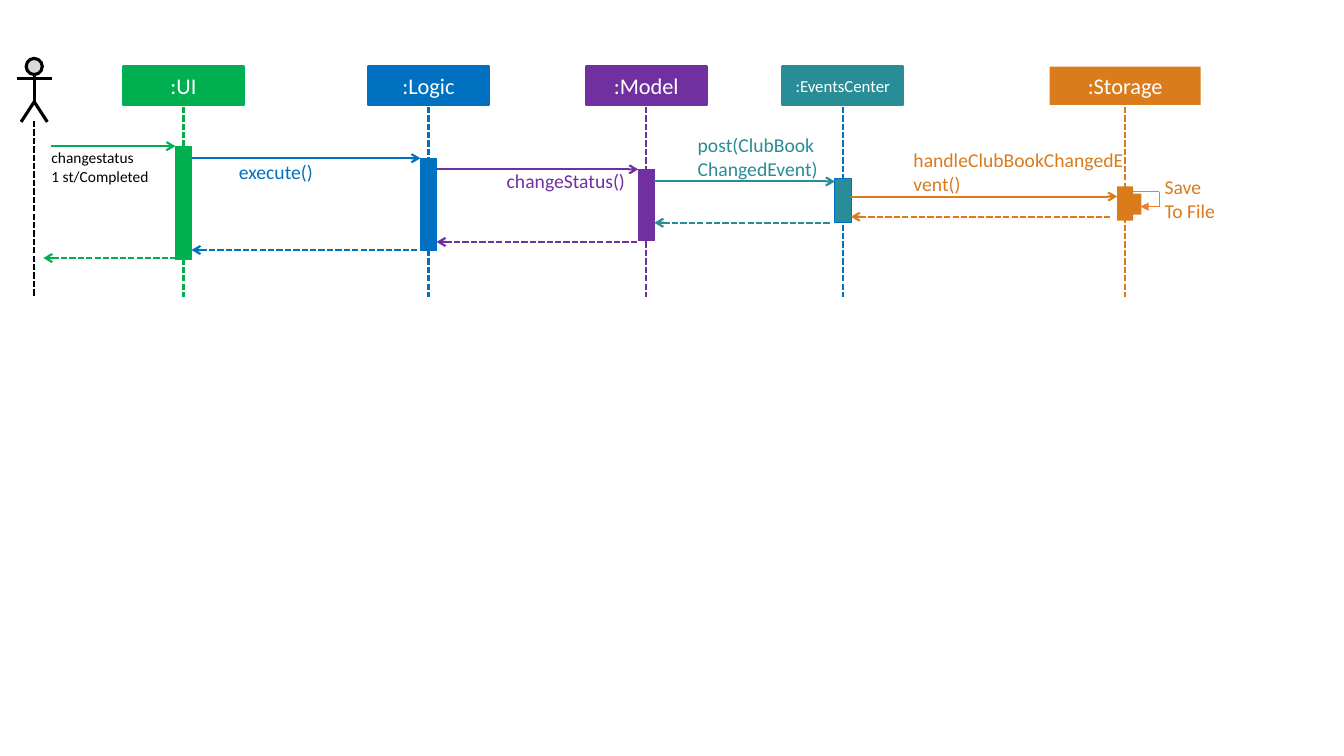
from dataclasses import dataclass
from typing import Any, Optional

from lxml import etree
from pptx import Presentation, util as u
from pptx.dml.color import RGBColor
from pptx.enum import dml, shapes, text
from pptx.oxml import ns


@dataclass(frozen=True)
class Theme:
    font: str = "Calibri"
    ui: str = "00B050"
    logic: str = "0070C0"
    model: str = "7030A0"
    events: str = "298D97"
    storage: str = "DA7B1C"
    self_call: str = "ED7D31"
    black: str = "000000"
    white: str = "FFFFFF"
    face: str = "D9D9D9"
    header_size: float = 16
    small_header_size: float = 12
    label_size: float = 14
    command_size: float = 11
    thin: float = 0.5
    normal: float = 1.5
    thick: float = 2.25


@dataclass(frozen=True)
class Participant:
    name: str
    center: float
    color: str
    bar_top: float
    bar_height: float
    size: float = Theme.header_size
    width: float = 12
    outlined: bool = True
    accent: Optional[str] = None  # lifeline and bar outline, if not the main colour


@dataclass(frozen=True)
class Message:
    lines: tuple[str, ...]
    call_row: float
    return_row: float
    label: tuple[float, float, float, float]
    return_gap: float = 0
    align: Any = text.PP_ALIGN.LEFT
    size: float = Theme.label_size
    label_color: Optional[str] = None


# Grid: ten columns and ten rows to the inch
COLUMNS, ROWS = 133.3, 75
CELL = u.Inches(0.1)
HEADER_TOP, HEADER_HEIGHT = 6.6, 3.8
LIFELINE_TOP, LIFELINE_END = 10.6, 29.5
BAR_WIDTH = 1.6
ACTOR_CENTER = 3.4
theme = Theme()

participants = [
    Participant(":UI", 18.2, theme.ui, 14.5, 11.2),
    Participant(":Logic", 42.5, theme.logic, 15.7, 9.1),
    Participant(":Model", 64.1, theme.model, 16.8, 7.1),
    Participant(":EventsCenter", 83.6, theme.events, 17.7, 4.4,
                size=theme.small_header_size, accent=theme.logic),
    Participant(":Storage", 111.6, theme.storage, 18.5, 3.4, width=15, outlined=False),
]

# Each message goes to the participant in the same place of the list above
messages = [
    Message(("changestatus ", "1 st/Completed"), 14.5, 25.6, (5.1, 14.7, 10.1, 3.7),
            size=theme.command_size, label_color=theme.black),
    Message(("execute()",), 15.7, 24.8, (23.7, 15.9, 15.6, 2.4), return_gap=0.2),
    Message(("changeStatus()",), 16.8, 24, (46.4, 16.8, 15.6, 2.4),
            align=text.PP_ALIGN.RIGHT),
    Message(("post(ClubBook", "ChangedEvent)"), 18, 22.1, (69.2, 13.2, 13.3, 4.7),
            return_gap=0.4),
    Message(("handleClubBookChangedEvent()",), 19.5, 21.5, (90.6, 14.7, 20.8, 4.7),
            return_gap=0.5),
]


def cells(count: float) -> int:
    return round(count * CELL)


def rgb(color: str) -> RGBColor:
    return RGBColor.from_string(color)


def write(frame: Any, lines: tuple[str, ...], size: float, color: str, align: Any) -> None:
    for number, line in enumerate(lines):
        paragraph = frame.add_paragraph() if number else frame.paragraphs[0]
        paragraph.alignment = align
        run = paragraph.add_run()
        run.text = line
        run.font.name = theme.font
        run.font.size = u.Pt(size)
        run.font.color.rgb = rgb(color)


def draw_shape(parent: Any, kind: Any, left: float, top: float, width: float, height: float,
               fill: str, outline: Optional[str] = None, weight: float = theme.thin) -> Any:
    shape = parent.add_shape(kind, *map(cells, (left, top, width, height)))
    shape.shadow.inherit = False
    shape.fill.solid()
    shape.fill.fore_color.rgb = rgb(fill)
    if outline:
        shape.line.color.rgb = rgb(outline)
        shape.line.width = u.Pt(weight)
    else:
        shape.line.fill.background()
    return shape


def draw_line(parent: Any, x1: float, y1: float, x2: float, y2: float, color: str,
              weight: float = theme.normal, dashed: bool = False,
              end: Optional[str] = None, arrow: str = "arrow") -> None:
    line = parent.add_connector(shapes.MSO_CONNECTOR.STRAIGHT, *map(cells, (x1, y1, x2, y2)))
    line.line.color.rgb = rgb(color)
    line.line.width = u.Pt(weight)
    if dashed:
        line.line.dash_style = dml.MSO_LINE.SQUARE_DOT
    properties = line._element.spPr
    if end:
        stroke = properties.find(ns.qn("a:ln"))
        etree.SubElement(stroke, ns.qn(f"a:{end}"), type=arrow)
    etree.SubElement(properties, ns.qn("a:effectLst"))


def draw_label(parent: Any, box: tuple[float, float, float, float], lines: tuple[str, ...],
               size: float, color: str, align: Any = text.PP_ALIGN.LEFT) -> None:
    frame = parent.add_textbox(*map(cells, box)).text_frame
    frame.word_wrap = True
    frame.auto_size = text.MSO_AUTO_SIZE.SHAPE_TO_FIT_TEXT
    frame.margin_left = frame.margin_right = frame.margin_top = frame.margin_bottom = 0
    write(frame, lines, size, color, align)


def draw_participant(parent: Any, who: Participant) -> None:
    rectangle = shapes.MSO_SHAPE.RECTANGLE
    header = draw_shape(parent, rectangle, who.center - who.width / 2, HEADER_TOP, who.width,
                        HEADER_HEIGHT, who.color, who.color if who.outlined else None,
                        theme.normal)
    header.text_frame.vertical_anchor = text.MSO_ANCHOR.MIDDLE
    write(header.text_frame, (who.name,), who.size, theme.white, text.PP_ALIGN.CENTER)
    accent = who.accent or who.color
    draw_line(parent, who.center, LIFELINE_TOP, who.center, LIFELINE_END, accent, dashed=True)
    draw_shape(parent, rectangle, who.center - BAR_WIDTH / 2, who.bar_top, BAR_WIDTH,
               who.bar_height, who.color, accent if who.outlined else None)


def draw_message(parent: Any, call_start: float, return_end: float, receiver: Participant,
                 message: Message) -> None:
    edge = receiver.center - BAR_WIDTH / 2
    draw_line(parent, call_start, message.call_row, edge, message.call_row, receiver.color,
              end="tailEnd")
    draw_line(parent, return_end, message.return_row, edge - message.return_gap,
              message.return_row, receiver.color, dashed=True, end="headEnd")
    draw_label(parent, message.label, message.lines, message.size,
               message.label_color or receiver.color, message.align)


def draw_actor(parent: Any) -> None:
    figure = parent.add_group_shape().shapes
    x = ACTOR_CENTER
    draw_shape(figure, shapes.MSO_SHAPE.FLOWCHART_CONNECTOR, x - 0.8, 5.8, 1.6, 1.6,
               theme.face, theme.black, theme.thick)
    draw_line(figure, x, 7.4, x, 10.2, theme.black, theme.thick)
    draw_line(figure, x - 1.7, 7.8, x + 1.8, 7.8, theme.black, theme.thick)
    outline = figure.build_freeform(cells(x - 1.3), cells(12.1))
    outline.add_line_segments([(cells(x), cells(10.1)), (cells(x + 1.3), cells(12.1))],
                              close=False)
    legs = outline.convert_to_shape()
    legs.shadow.inherit = False
    legs.fill.background()
    legs.line.color.rgb = rgb(theme.black)
    legs.line.width = u.Pt(theme.thick)
    draw_line(parent, x, 12, x, LIFELINE_END, theme.black, dashed=True)


def draw_self_call(parent: Any) -> None:
    draw_shape(parent, shapes.MSO_SHAPE.RECTANGLE, 112.3, 19.2, 0.9, 2.1, theme.storage)
    loop = parent.add_group_shape().shapes
    corners = [(112.4, 19), (115, 19), (115, 20.5), (113.1, 20.5)]
    for start, stop in zip(corners, corners[1:]):
        draw_line(loop, *start, *stop, theme.self_call, theme.thin,
                  end="tailEnd" if stop == corners[-1] else None, arrow="triangle")
    draw_label(parent, (115.5, 17.4, 5.9, 4.7), ("Save ", "To File"), theme.label_size,
               theme.storage)


# Slide
deck = Presentation()
deck.slide_width, deck.slide_height = cells(COLUMNS), cells(ROWS)
diagram = deck.slides.add_slide(deck.slide_layouts[6]).shapes

# Actor and participants
draw_actor(diagram)
for participant in participants:
    draw_participant(diagram, participant)

# Calls and returns, each from the right edge of the sender's bar
bar_edges = [sender.center + BAR_WIDTH / 2 for sender in participants[:-1]]
call_starts = [ACTOR_CENTER + 1.7] + bar_edges
return_ends = [ACTOR_CENTER + 0.9] + bar_edges
for exchange in zip(call_starts, return_ends, participants, messages):
    draw_message(diagram, *exchange)
draw_self_call(diagram)

deck.save("out.pptx")
